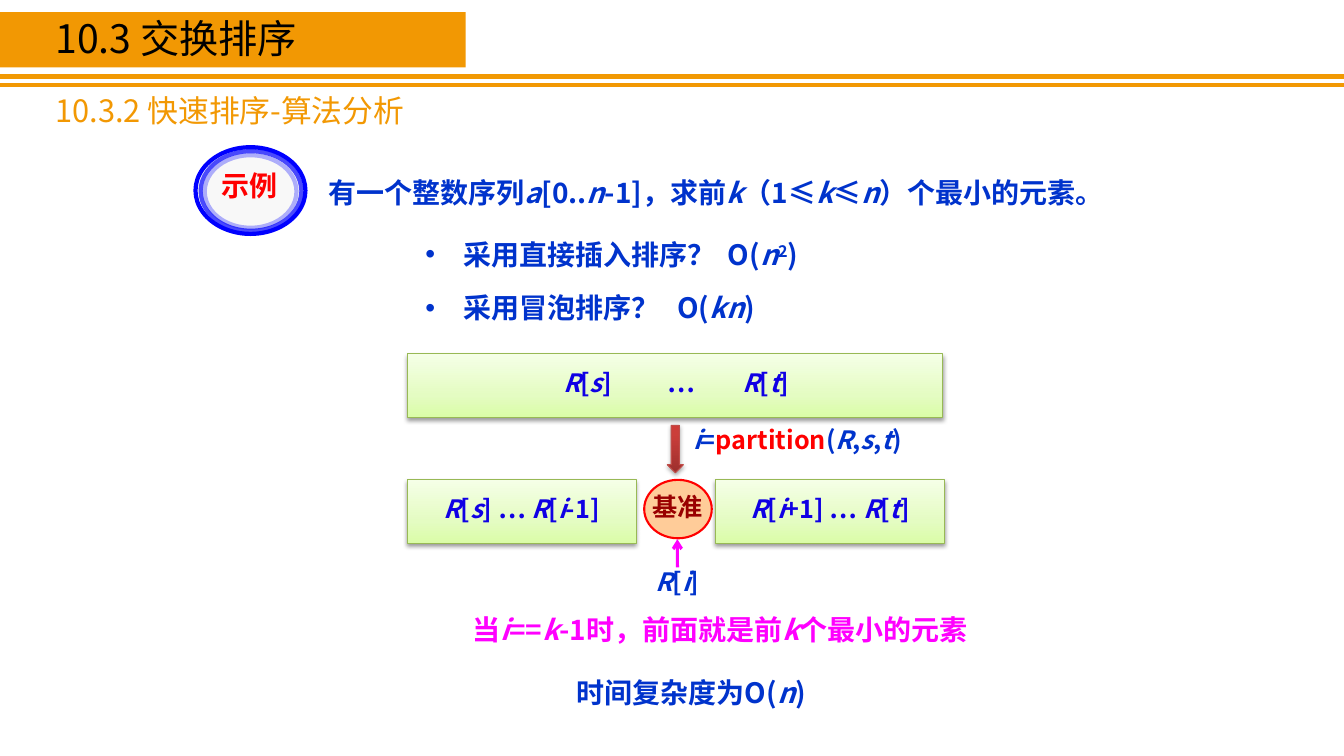
"""Build a slide that analyses quicksort for finding the k smallest elements."""
from dataclasses import dataclass

from lxml import etree
from pptx import Presentation
from pptx.dml.color import RGBColor
from pptx.enum.shapes import MSO_CONNECTOR, MSO_SHAPE
from pptx.enum.text import MSO_ANCHOR, MSO_AUTO_SIZE, PP_ALIGN
from pptx.oxml.ns import qn
from pptx.util import Inches, Pt

WIDTH, HEIGHT = Inches(13.333), Inches(7.5)
FONT = "Noto Sans CJK SC"
ORANGE, BLUE, NAVY = "F29803", "0033CC", "1000E4"
RED, MAGENTA, MAROON = "FF0000", "FF00FF", "990000"
LEFT, CENTER = PP_ALIGN.LEFT, PP_ALIGN.CENTER
TOP, MIDDLE = MSO_ANCHOR.TOP, MSO_ANCHOR.MIDDLE
FIT, FIXED = MSO_AUTO_SIZE.SHAPE_TO_FIT_TEXT, MSO_AUTO_SIZE.NONE
RECTANGLE, OVAL, DOWN_ARROW = MSO_SHAPE.RECTANGLE, MSO_SHAPE.OVAL, MSO_SHAPE.DOWN_ARROW
STRAIGHT = MSO_CONNECTOR.STRAIGHT
GREEN_STOPS = ((0, "DAFDA7"), (35, "E4FCC2"), (100, "F5FFE7"))
RED_STOPS = ((0, "9C2F2D"), (80, "CB3E3A"), (100, "CE3B37"))


@dataclass(frozen=True)
class Area:
    """A rectangle in percent of the slide's width and height."""
    left: float
    top: float
    width: float
    height: float

    def lengths(self) -> tuple:
        """Return left, top, width and height as slide lengths."""
        return across(self.left), down(self.top), across(self.width), down(self.height)


@dataclass(frozen=True)
class Label:
    """A line of marked-up text in its own box."""
    text: str
    area: Area
    size: float = 20
    color: str = BLUE
    align: PP_ALIGN = LEFT
    bold: bool = True


@dataclass(frozen=True)
class Segment:
    """A green box that shows part of the record sequence."""
    text: str
    area: Area
    indent: float = 0
    tabs: tuple = ()


@dataclass(frozen=True)
class Ring:
    """One of the nested ovals of the example badge."""
    area: Area
    opacity: int
    fill: str = ""


BAND = Area(0, 1.6, 34.65, 7.33)
RULES = ((10.13, "F19903"), (11.2, ORANGE))
TITLE_AREA = Area(3.38, 2.4, 28.5, 6.4)
OPTIONS_AREA = Area(30.9, 28.53, 41.03, 17.07)
OPTIONS = "采用直接插入排序？\tO(|*n|^2|)\n采用冒泡排序？\tO(|*kn|)"
PIVOT_AREA = Area(47.93, 63.47, 5.03, 7.73)
ARROW_AREA = Area(49.65, 56.27, 1.2, 6.27)
PIVOT_LABEL = Label("*R|[|*i|]", Area(47.18, 75.07, 6.45, 4.53), 18, BLUE, CENTER)
LABELS = (
    Label("有一个整数序列|*a|[0..|*n|-1]，求前|*k|（1≤|*k|≤|*n|）个最小的元素。",
          Area(23.7, 23.47, 59.78, 4.93)),
    Label("*i|=|!partition|(|*R|,|*s|,|*t|)", Area(50.85, 56.27, 20.48, 4.53), 18),
    Label("当|*i|==|*k|-1时，前面就是前|*k|个最小的元素",
          Area(34.43, 81.2, 45.15, 4.93), color=MAGENTA),
    Label("时间复杂度为O(|*n|)", Area(39.68, 89.6, 23.48, 4.93), align=CENTER),
    Label("示例", Area(15, 22.53, 7.2, 4.93), color=RED, align=CENTER),
    Label("10.3.2 快速排序-算法分析", Area(3.38, 12.4, 29.55, 5.33), 22, ORANGE, bold=False),
)
SEGMENTS = (
    Segment("*R|[|*s|]\t…\t|*R|[|*t|]", Area(30.3, 46.8, 39.83, 8.4), 11.6, (7.8, 13.35)),
    Segment("*R|[|*s|] … |*R|[|*i|-1]", Area(30.3, 63.47, 17.03, 8.4)),
    Segment("*R|[|*i|+1] … |*R|[|*t|]", Area(53.25, 63.47, 17.03, 8.4)),
)
RINGS = (
    Ring(Area(14.55, 19.47, 8.18, 11.47), 100, "F8F8F8"),
    Ring(Area(14.93, 20, 7.5, 10.53), 70),
    Ring(Area(15.23, 20.53, 6.83, 9.6), 30),
)


def across(percent: float) -> int:
    """Return a share of the slide's width."""
    return int(WIDTH * percent / 100)


def down(percent: float) -> int:
    """Return a share of the slide's height."""
    return int(HEIGHT * percent / 100)


def rgb(color: str) -> RGBColor:
    """Turn a hex string into a colour."""
    return RGBColor.from_string(color)


def add_element(parent, tag: str, **attributes):
    """Append a drawing element with the given attributes."""
    values = {name: str(value) for name, value in attributes.items()}
    return etree.SubElement(parent, qn(tag), values)


def add_color(parent, color: str, opacity: int = 100) -> None:
    """Append a colour element with its opacity."""
    element = add_element(parent, "a:srgbClr", val=color)
    if opacity < 100:
        add_element(element, "a:alpha", val=opacity * 1000)


def write(shape, text: str, *, size: float = 20, color: str = BLUE, bold: bool = True,
          align: PP_ALIGN = LEFT, anchor: MSO_ANCHOR = TOP, spacing: float = 0.8,
          fit: MSO_AUTO_SIZE = FIT, wrap: bool = True, tabs: tuple = ()) -> None:
    """Write text whose pieces start with * for italic, ^ for raised or ! for red."""
    frame = shape.text_frame
    frame.word_wrap, frame.auto_size, frame.vertical_anchor = wrap, fit, anchor
    for index, line in enumerate(text.split("\n")):
        paragraph = frame.add_paragraph() if index else frame.paragraphs[0]
        paragraph.alignment, paragraph.line_spacing = align, spacing
        paragraph.space_before = Pt(2 if index else 0)
        if tabs:
            stops = add_element(paragraph._p.get_or_add_pPr(), "a:tabLst")
            for position in tabs:
                add_element(stops, "a:tab", pos=across(position), algn="l")
        for piece in line.split("|"):
            run = paragraph.add_run()
            run.text = piece.lstrip("*^!")
            font = run.font
            font.size, font.bold, font.italic = Pt(size), bold, piece.startswith("*")
            font.color.rgb = rgb(RED if piece.startswith("!") else color)
            font.name = FONT
            properties = run._r.get_or_add_rPr()
            add_element(properties, "a:ea", typeface=FONT)
            if piece.startswith("^"):
                properties.set("baseline", "30000")


def add_label(slide, label: Label):
    """Add a text box."""
    box = slide.shapes.add_textbox(*label.area.lengths())
    write(box, label.text, size=label.size, color=label.color, align=label.align,
          bold=label.bold)
    return box


def add_figure(slide, kind: MSO_SHAPE, area: Area, *, fill: str = "", line: str = "",
               weight: float = 0.75, opacity: int = 100):
    """Add a preset shape with plain fill and line."""
    shape = slide.shapes.add_shape(kind, *area.lengths())
    shape.shadow.inherit = False
    if fill:
        shape.fill.solid()
        shape.fill.fore_color.rgb = rgb(fill)
    else:
        shape.fill.background()
    if line:
        shape.line.color.rgb = rgb(line)
        shape.line.width = Pt(weight)
        if opacity < 100:
            color = shape.line._ln.find(".//" + qn("a:srgbClr"))
            add_element(color, "a:alpha", val=opacity * 1000)
    else:
        shape.line.fill.background()
    return shape


def add_raised(slide, kind: MSO_SHAPE, area: Area, stops: tuple, line: str, opacity: int):
    """Add a shape with an upward gradient and a soft shadow below."""
    shape = add_figure(slide, kind, area, line=line)
    shape.fill.gradient()
    shape.fill.gradient_angle = 90
    properties = shape._element.spPr
    stop_list = properties.find(".//" + qn("a:gsLst"))
    for stop in list(stop_list):
        stop_list.remove(stop)
    for position, color in stops:
        add_color(add_element(stop_list, "a:gs", pos=position * 1000), color)
    shadow = add_element(properties.find(qn("a:effectLst")), "a:outerShdw", blurRad=Pt(3.1),
                         dist=Pt(1.6), dir=5400000, rotWithShape=0)
    add_color(shadow, "000000", opacity)
    return shape


def add_line(slide, start: tuple, end: tuple, color: str, weight: float):
    """Add a straight connector between two points in percent."""
    line = slide.shapes.add_connector(STRAIGHT, across(start[0]), down(start[1]),
                                      across(end[0]), down(end[1]))
    line.line.color.rgb = rgb(color)
    line.line.width = Pt(weight)
    add_element(line._element.spPr, "a:effectLst")
    return line


def main() -> None:
    """Draw the slide and save it."""
    presentation = Presentation()
    presentation.slide_width, presentation.slide_height = WIDTH, HEIGHT
    slide = presentation.slides.add_slide(presentation.slide_layouts[1])
    title, options = slide.placeholders
    for shape, area in ((title, TITLE_AREA), (options, OPTIONS_AREA)):
        shape.left, shape.top, shape.width, shape.height = area.lengths()

    for height, color in RULES:
        add_line(slide, (0, height), (100, height), color, 3)
    add_figure(slide, RECTANGLE, BAND, fill=ORANGE)
    title.element.getparent().append(title.element)
    write(title, "10.3 交换排序", size=28, color="000000", bold=False)
    write(options, OPTIONS, spacing=1.5)

    for segment in SEGMENTS:
        box = add_raised(slide, RECTANGLE, segment.area, GREEN_STOPS, "98B955", 38)
        if segment.indent:
            box.text_frame.margin_left = across(segment.indent)
        write(box, segment.text, size=18, color=NAVY, anchor=MIDDLE, fit=FIXED,
              align=LEFT if segment.tabs else CENTER, tabs=segment.tabs)
    pivot = add_figure(slide, OVAL, PIVOT_AREA, fill="FFCC99", line=RED, weight=1.5)
    write(pivot, "基准", size=18, color=MAROON, align=CENTER, anchor=MIDDLE,
          fit=FIXED, wrap=False)
    add_raised(slide, DOWN_ARROW, ARROW_AREA, RED_STOPS, "BF4C48", 35)
    pivot_label = add_label(slide, PIVOT_LABEL)
    pointer = add_line(slide, (50.4, 75.07), (50.4, 71.33), MAGENTA, 2.25)
    pointer.begin_connect(pivot_label, 0)
    add_element(pointer.line._ln, "a:tailEnd", type="arrow")

    for ring in RINGS:
        add_figure(slide, OVAL, ring.area, fill=ring.fill, line="0000FF", weight=3,
                   opacity=ring.opacity)
    for label in LABELS:
        add_label(slide, label)
    presentation.save("out.pptx")


if __name__ == "__main__":
    main()
